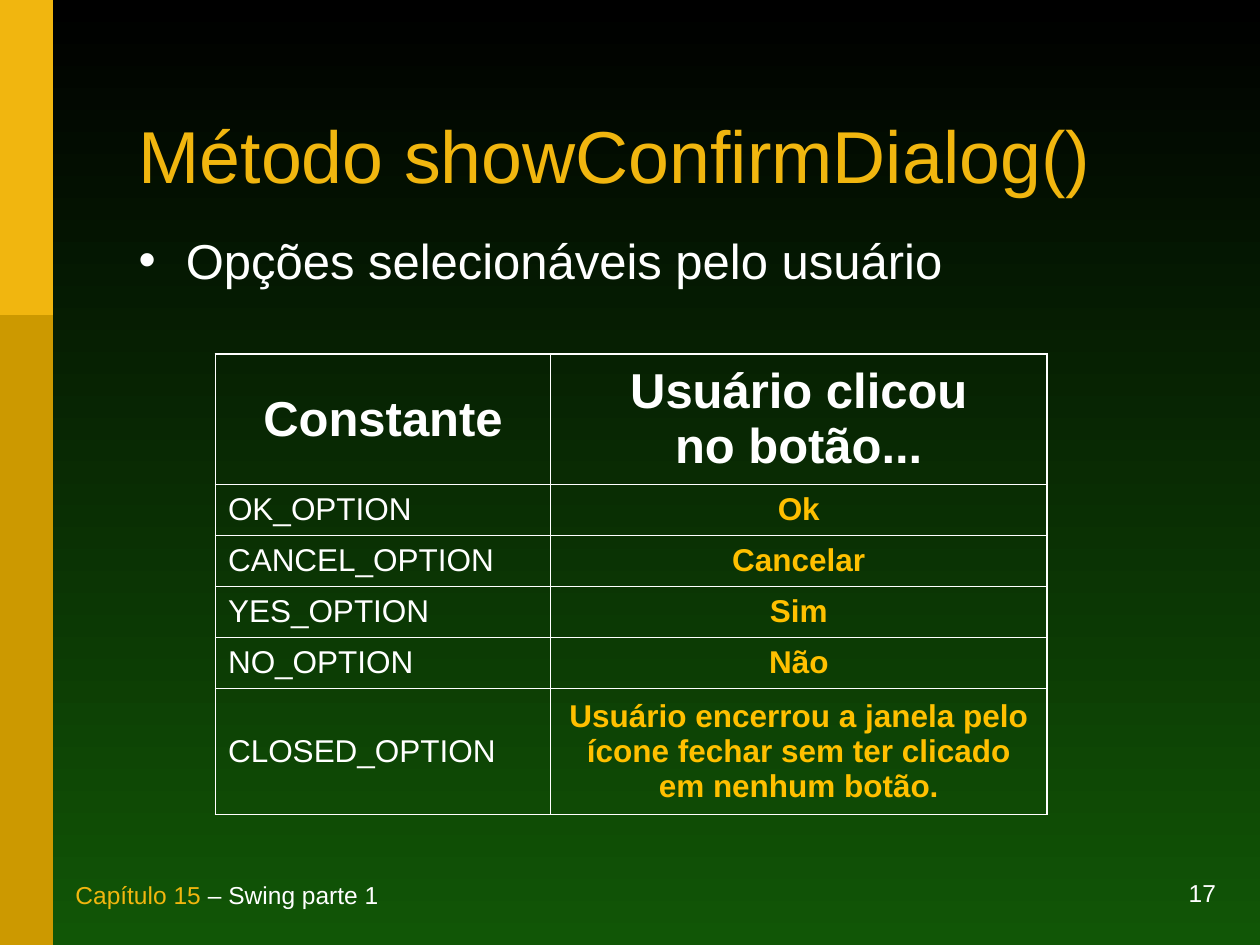
from lxml import etree
from pptx import Presentation
from pptx.dml.color import RGBColor
from pptx.enum.shapes import MSO_SHAPE
from pptx.enum.text import MSO_ANCHOR, MSO_AUTO_SIZE, PP_ALIGN
from pptx.oxml.ns import qn
from pptx.util import Inches, Pt

GOLD, DARK_GOLD, AMBER, WHITE = "F1B60F", "CC9900", "FFC000", "FFFFFF"

presentation = Presentation()
presentation.slide_width = Inches(10)
presentation.slide_height = Inches(7.5)
column = presentation.slide_width / 100
row = presentation.slide_height / 100


def area(left, top, width, height):
    return int(left * column), int(top * row), int(width * column), int(height * row)


def write(frame, text, size=18, color=WHITE, bold=False, align=PP_ALIGN.LEFT,
          anchor=MSO_ANCHOR.MIDDLE):
    frame.word_wrap = True
    frame.auto_size = MSO_AUTO_SIZE.NONE
    frame.vertical_anchor = anchor
    for number, line in enumerate(text.split("\n")):
        paragraph = frame.add_paragraph() if number else frame.paragraphs[0]
        paragraph.alignment = align
        run = paragraph.add_run()
        run.text = line
        run.font.name = "Arial"
        run.font.size = Pt(size)
        run.font.bold = bold
        run.font.color.rgb = RGBColor.from_string(color)
    return paragraph


slide = presentation.slides.add_slide(presentation.slide_layouts[1])

background = slide.background.fill
background.gradient()
background.gradient_angle = 270
for stop, color, position in zip(background.gradient_stops, ("000000", "115606"), (0, 1)):
    stop.color.rgb = RGBColor.from_string(color)
    stop.position = position

for height, color in ((100, DARK_GOLD), (100 / 3, GOLD)):
    band = slide.shapes.add_shape(MSO_SHAPE.RECTANGLE, *area(0, 0, 4.2, height))
    band.shadow.inherit = False
    band.fill.solid()
    band.fill.fore_color.rgb = RGBColor.from_string(color)
    band.line.fill.background()

title, body = slide.placeholders
title.left, title.top, title.width, title.height = area(10, 8.4, 82.3, 17.2)
write(title.text_frame, "Método showConfirmDialog()", size=42, color=GOLD).line_spacing = 0.85

body.left, body.top, body.width, body.height = area(10, 23.73, 81.7, 10.53)
write(body.text_frame, "Opções selecionáveis pelo usuário", size=28,
      anchor=MSO_ANCHOR.TOP).space_before = Pt(22.5)

options = [
    ("Constante", "Usuário clicou\nno botão..."),
    ("OK_OPTION", "Ok"),
    ("CANCEL_OPTION", "Cancelar"),
    ("YES_OPTION", "Sim"),
    ("NO_OPTION", "Não"),
    ("CLOSED_OPTION",
     "Usuário encerrou a janela pelo ícone fechar sem ter clicado em nenhum botão."),
]
column_shares = (26.6, 39.4)
row_shares = (13.8, *[5.4] * 4, 13.33)
table = slide.shapes.add_table(
    len(options), 2, *area(17.1, 37.47, sum(column_shares), sum(row_shares))).table
table.first_row = False
table.horz_banding = False
for table_column, share in zip(table.columns, column_shares):
    table_column.width = int(share * column)
for table_row, share in zip(table.rows, row_shares):
    table_row.height = int(share * row)

for row_number, texts in enumerate(options):
    for column_number, text in enumerate(texts):
        cell = table.cell(row_number, column_number)
        header = row_number == 0
        answer = column_number == 1
        write(cell.text_frame, text,
              size=28 if header else 18,
              color=AMBER if answer and not header else WHITE,
              bold=header or answer,
              align=PP_ALIGN.CENTER if header or answer else PP_ALIGN.LEFT)
        cell.vertical_anchor = MSO_ANCHOR.MIDDLE
        properties = cell._tc.get_or_add_tcPr()
        for side in ("a:lnL", "a:lnR", "a:lnT", "a:lnB"):
            border = etree.SubElement(properties, qn(side), w=str(Pt(1.08)))
            paint = etree.SubElement(border, qn("a:solidFill"))
            etree.SubElement(paint, qn("a:srgbClr"), val=WHITE)
        cell.fill.background()

page_number = slide.shapes.add_textbox(*area(72.5, 93.33, 25, 3.33))
write(page_number.text_frame, "17", size=14, align=PP_ALIGN.RIGHT, anchor=MSO_ANCHOR.BOTTOM)

chapter = slide.shapes.add_textbox(*area(5, 93.33, 66.9, 3.6))
for text, color in (("Capítulo 15", GOLD), (" – Swing parte 1", WHITE)):
    write(chapter.text_frame, text, size=14, color=color, anchor=MSO_ANCHOR.BOTTOM)

presentation.save("out.pptx")
